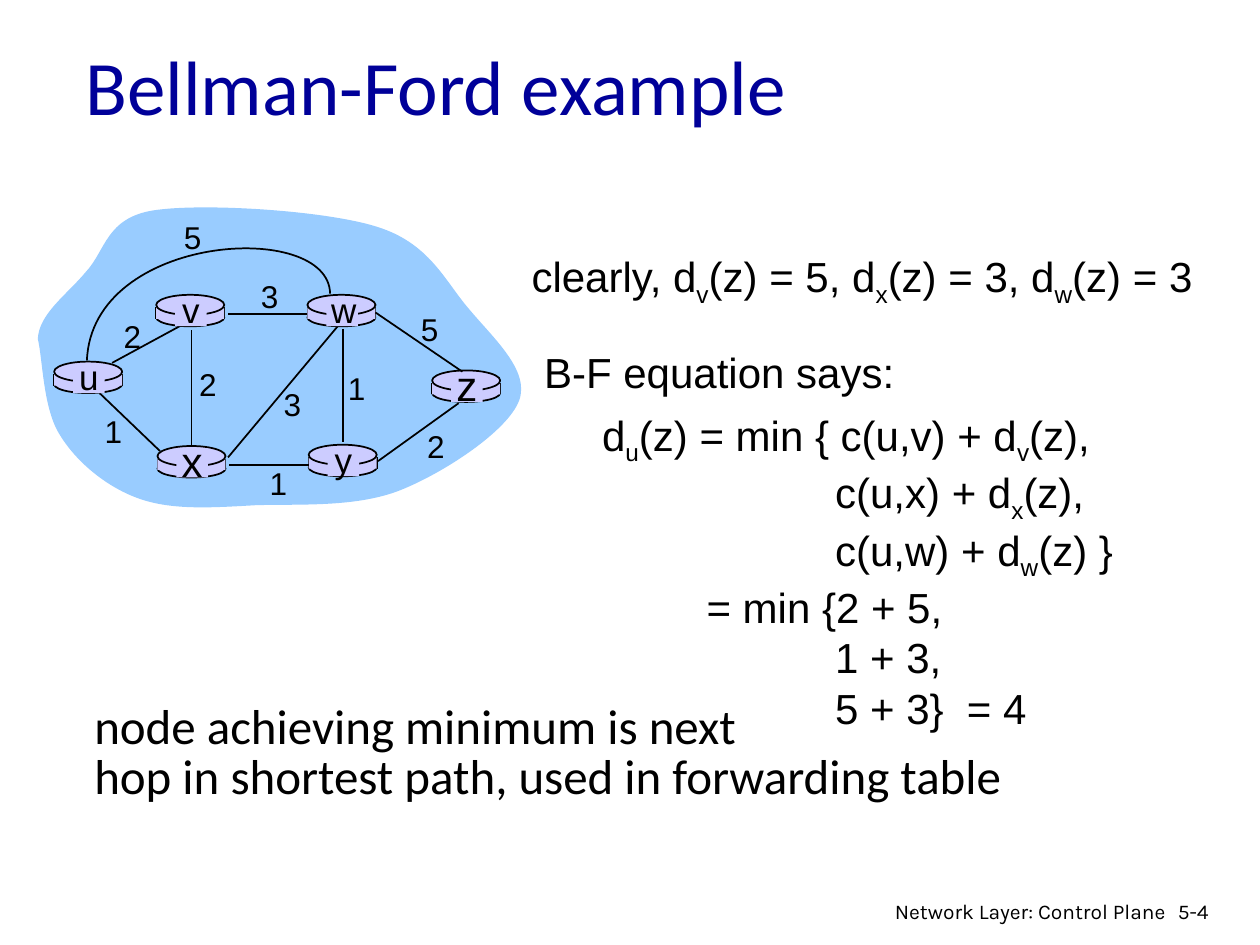
from dataclasses import dataclass

from lxml.etree import SubElement
from pptx import Presentation
from pptx.dml.color import RGBColor
from pptx.enum.shapes import MSO_CONNECTOR, MSO_SHAPE
from pptx.enum.text import MSO_ANCHOR, PP_ALIGN
from pptx.oxml.ns import qn
from pptx.util import Inches, Pt


@dataclass(frozen=True)
class Theme:
    """Hold the colours, fonts and type sizes."""
    ink: str = "000000"
    head: str = "000099"
    cloud: str = "99CCFF"
    node: str = "CCCCFF"
    sans: str = "Arial"
    body: str = "Calibri"
    foot: str = "Karla"
    title: int = 44
    note: int = 28
    math: int = 24
    name: int = 20
    cost: int = 18
    small: int = 12
    line: int = 1


THEME = Theme()
COLS, ROWS = 100, 75
OUTLINE = [
    (0, 10.8), (0.1, 8.8), (2.3, 7.3), (3.8, 5.5), (5.4, 3.8), (5.4, 1.2),
    (9.2, 0.6), (13.1, 0), (22.8, 0.6), (26.9, 1.9), (31.1, 3.2), (32.3, 6.2),
    (34.2, 8.4), (36.1, 10.7), (39.1, 13.3), (38.2, 15.7), (37.3, 18.1),
    (32.3, 21.4), (28.8, 22.8), (25.3, 24.2), (20.7, 23.9), (17.3, 24),
    (13.8, 24.2), (10.7, 24.4), (8.1, 23.5), (5.5, 22.6), (3.1, 20.6),
    (1.8, 18.5), (0.4, 16.4), (0.4, 12.4), (0, 10.8)]
ARC = [(23.2, 7.2), (23.1, 1.3), (4.3, 2.4), (3.9, 12.5)]
NODES = {
    "u": (1.3, 12.6, 20), "x": (9.5, 19.3, 24), "v": (9.4, 7.3, 20),
    "w": (21.4, 7.3, 20), "y": (21.5, 19.2, 20), "z": (31.3, 13.3, 24)}
BACK = (5.9, 12.7, 11.8, 9.5)
EDGES = [
    (24.2, 10, 24.2, 19), (12.2, 10.1, 12.2, 19.4), (15.1, 20.2, 23.8, 9.8),
    (27, 20.5, 33.4, 15.9), (21.5, 20.8, 15.2, 20.8), (9.7, 19.7, 4.9, 15.1),
    (21.4, 8.8, 15.1, 8.8), (33.7, 13.4, 26.8, 8.7)]
COSTS = [
    ("2", 5.8, 8.6), ("2", 11.8, 12.4), ("1", 4.3, 16.1), ("3", 18.5, 14),
    ("1", 17.4, 20.2), ("1", 23.6, 12.7), ("2", 29.9, 17.3), ("5", 29.4, 8),
    ("3", 16.7, 5.4), ("5", 10.6, 0.7)]


def cell(num):
    """Turn grid cells into slide units."""
    return Inches(num / 10)


def place(box, *nums):
    """Shift cells by the corner of a box, pairs of x and y first."""
    x, y, *rest = nums
    return [cell(n) for n in (box[0] + x, box[1] + y, *rest)]


def write(frame, text, size, font=THEME.sans, color=THEME.ink,
          align=PP_ALIGN.LEFT, wrap=False, gap=None, steps=()):
    """Write lines of text, where an underscore lowers the next letter."""
    frame.word_wrap = wrap
    for i, line in enumerate(text.split("\n")):
        para = frame.paragraphs[0] if i == 0 else frame.add_paragraph()
        para.alignment = align
        if gap:
            para.line_spacing = gap
        if steps:
            para._p.get_or_add_pPr().set("marL", str(cell(steps[i])))
        first, *rest = line.split("_")
        parts = [(first, False)]
        for part in rest:
            parts += [(part[0], True), (part[1:], False)]
        for part, low in parts:
            run = para.add_run()
            run.text = part
            run.font.size = Pt(size)
            run.font.name = font
            run.font.color.rgb = RGBColor.from_string(color)
            if low:
                run._r.get_or_add_rPr().set("baseline", "-25000")


def label(slide, box, text, size, **form):
    """Put a text box in a box of cells."""
    area = slide.shapes.add_textbox(*map(cell, box))
    write(area.text_frame, text, size, **form)


def style(shape, fill=None, line=False):
    """Set the fill and line of a shape and drop its shadow."""
    shape.shadow.inherit = False
    if fill:
        shape.fill.solid()
        shape.fill.fore_color.rgb = RGBColor.from_string(fill)
    else:
        shape.fill.background()
    if line:
        shape.line.color.rgb = RGBColor.from_string(THEME.ink)
        shape.line.width = Pt(THEME.line)
    else:
        shape.line.fill.background()


def solid(slide, box, kind, spot, line=False):
    """Add a preset shape in the node colour."""
    shape = slide.shapes.add_shape(kind, *place(box, *spot))
    style(shape, THEME.node, line)


def link(slide, box, ends):
    """Add a straight line between two points of a box."""
    x1, y1, x2, y2 = ends
    line = slide.shapes.add_connector(
        MSO_CONNECTOR.STRAIGHT, *place(box, x1, y1), *place(box, x2, y2))
    line.line.color.rgb = RGBColor.from_string(THEME.ink)
    line.line.width = Pt(THEME.line)
    SubElement(line._element.spPr, qn("a:effectLst"))


def curve(slide, box, points, close=False, **look):
    """Draw cubic curves, three points for each bend."""
    first, *rest = [place(box, *point) for point in points]
    pen = slide.shapes.build_freeform(*first, scale=1.0)
    pen.add_line_segments(rest, close=close)
    shape = pen.convert_to_shape()
    steps = list(shape._element.iter(qn("a:lnTo")))
    for i in range(0, len(steps), 3):
        bend = steps[i].makeelement(qn("a:cubicBezTo"))
        steps[i].addprevious(bend)
        for step in steps[i:i + 3]:
            bend.append(step[0])
            step.getparent().remove(step)
    style(shape, **look)


def router(slide, box):
    """Draw a flat drum in a box."""
    wide = box[2]
    solid(slide, box, MSO_SHAPE.OVAL, (0, 1.1, wide, 1.4), True)
    for x in (0, wide):
        link(slide, box, (x, 1, x, 1.9))
    solid(slide, box, MSO_SHAPE.RECTANGLE, (0, 1, wide, 0.9))
    solid(slide, box, MSO_SHAPE.OVAL, (0, 0, wide, 1.6), True)


def graph(slide, box):
    """Draw the cloud with its routers, links and costs."""
    curve(slide, box, OUTLINE, True, fill=THEME.cloud)
    link(slide, box, BACK)
    drums = {name: (box[0] + x, box[1] + y, 5.4, 2.5)
             for name, (x, y, _) in NODES.items()}
    for drum in drums.values():
        router(slide, drum)
    for ends in EDGES:
        link(slide, box, ends)
    curve(slide, box, ARC, line=True)
    for name, drum in drums.items():
        size = NODES[name][2]
        solid(slide, drum, MSO_SHAPE.RECTANGLE, (1.5, 0.2, 2.5, 2.3))
        tall = 5 if size == THEME.math else 4.3
        label(slide, (drum[0] + 0.9, drum[1] + 1.15 - tall / 2, 3.7, tall),
              name, size, align=PP_ALIGN.CENTER)
    for text, x, y in COSTS:
        label(slide, (box[0] + x, box[1] + y, 3.4, 4), text, THEME.cost,
              align=PP_ALIGN.CENTER)


def proof(slide, box):
    """Write the equations in a box."""
    x, y, wide, _ = box
    label(slide, (x, y, wide, 5),
          "clearly, d_v(z) = 5, d_x(z) = 3, d_w(z) = 3", THEME.math)
    label(slide, (x + 1, y + 7.6, 29.8, 5), "B-F equation says:", THEME.math)
    label(slide, (x + 5.6, y + 12.6, 42.7, 25),
          "d_u(z) = min { c(u,v) + d_v(z),\nc(u,x) + d_x(z),\n"
          "c(u,w) + d_w(z) }\n= min {2 + 5,\n1 + 3,\n5 + 3}  = 4",
          THEME.math, steps=(0, 18.5, 18.5, 8.3, 18.5, 18.5))


def header(slide, box):
    """Place and format the title."""
    title = slide.shapes.title
    title.left, title.top, title.width, title.height = map(cell, box)
    title.text_frame.vertical_anchor = MSO_ANCHOR.MIDDLE
    write(title.text_frame, "Bellman-Ford example", THEME.title,
          font=THEME.body, color=THEME.head, wrap=True)


def footer(slide, box):
    """Write the chapter and the page number."""
    x, y, wide, tall = box
    label(slide, (x + 22.8, y, wide - 22.8, tall), "5-4", THEME.small,
          font=THEME.foot, wrap=True)
    label(slide, (x, y, 23.8, tall), "Network Layer: Control Plane",
          THEME.small, font=THEME.foot, align=PP_ALIGN.RIGHT, wrap=True)


def main():
    """Build and save the slide."""
    deck = Presentation()
    deck.slide_width, deck.slide_height = cell(COLS), cell(ROWS)
    slide = deck.slides.add_slide(deck.slide_layouts[5])
    header(slide, (5.8, 1.9, 85, 9.6))
    graph(slide, (3, 16.1, 39.1, 24.5))
    proof(slide, (41.2, 19.4, 55.2, 37.6))
    label(slide, (6.5, 55.4, 74, 9),
          "node achieving minimum is next\n"
          "hop in shortest path, used in forwarding table",
          THEME.note, font=THEME.body, gap=0.85)
    footer(slide, (69.7, 70.8, 28.8, 3))
    deck.save("out.pptx")


main()
